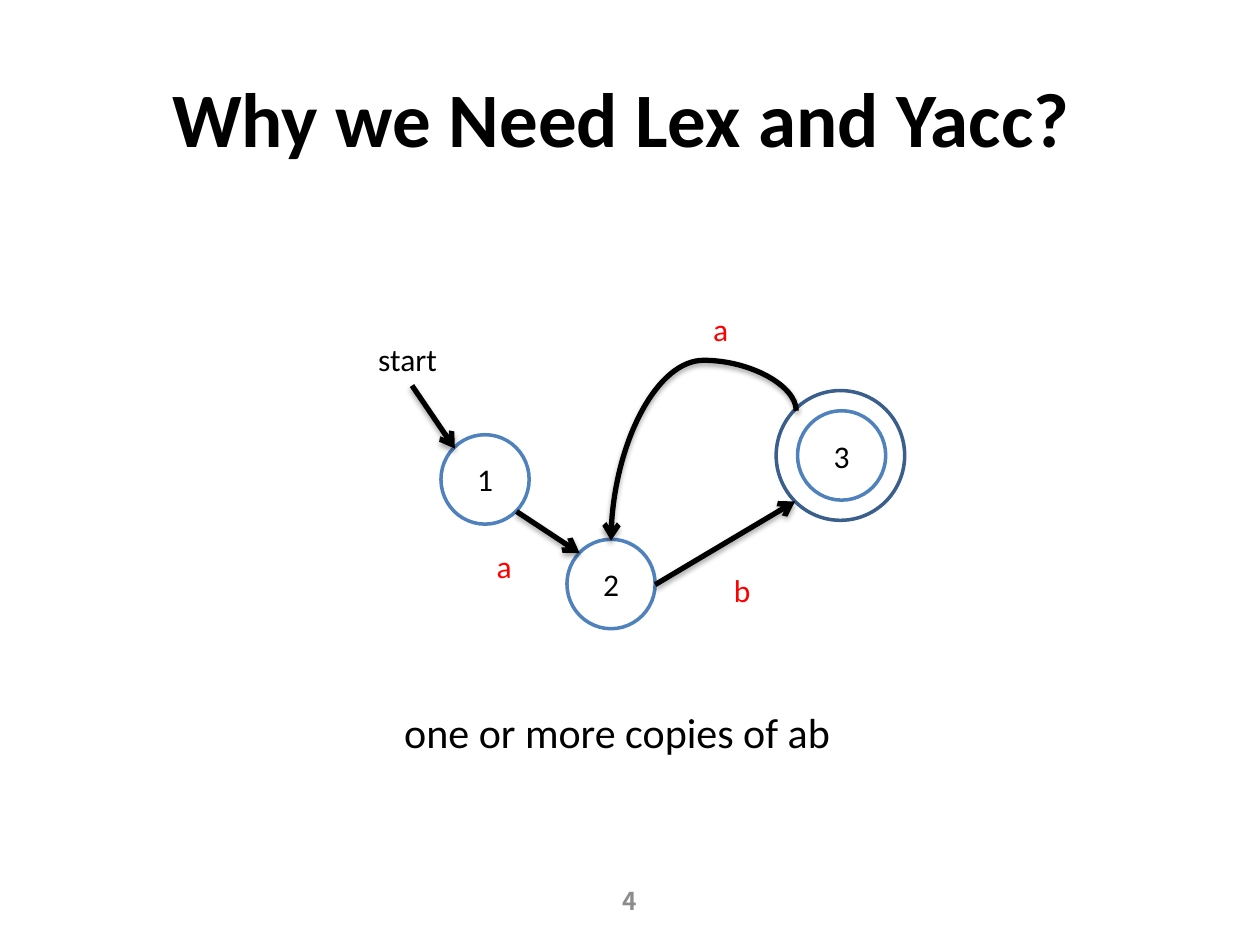
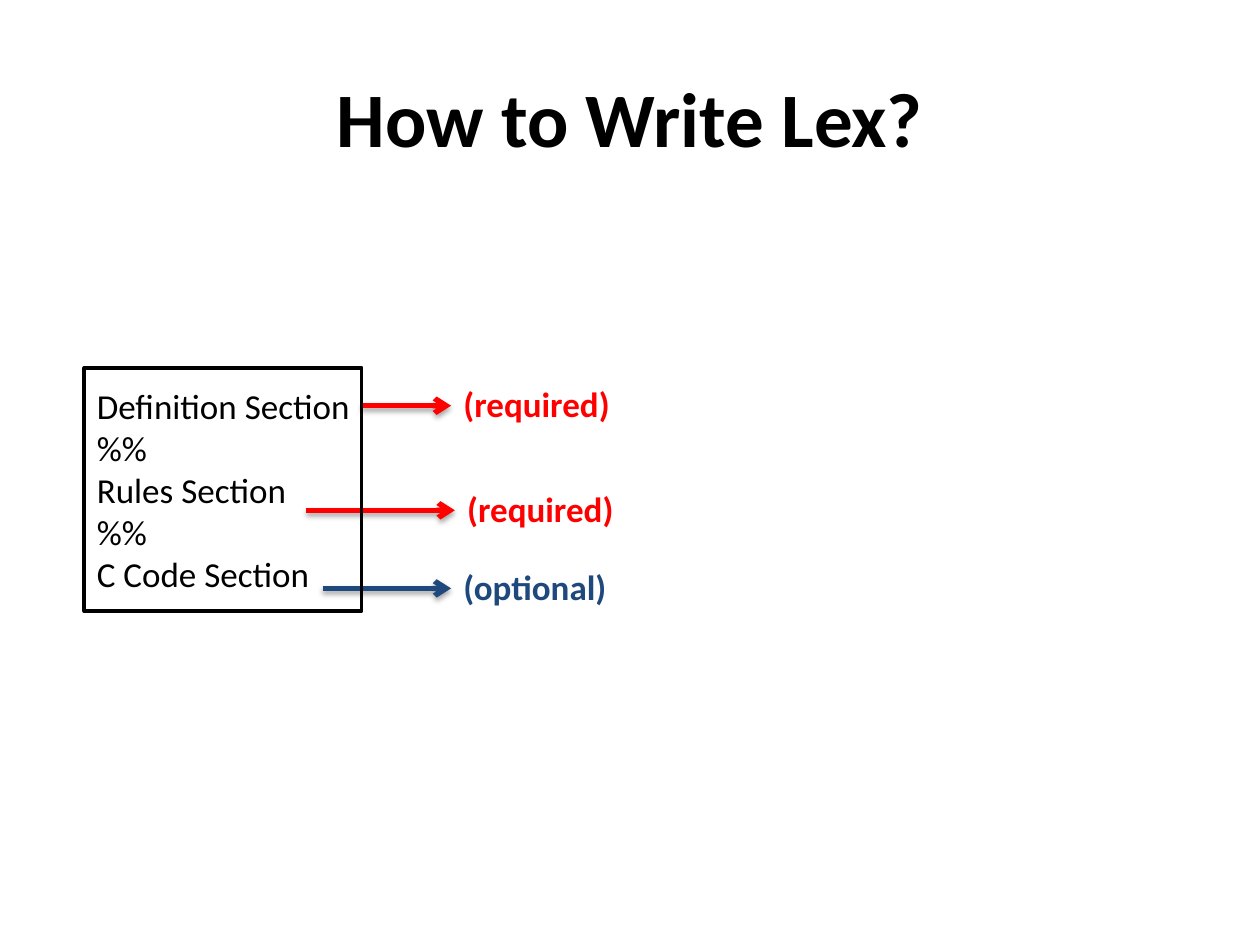
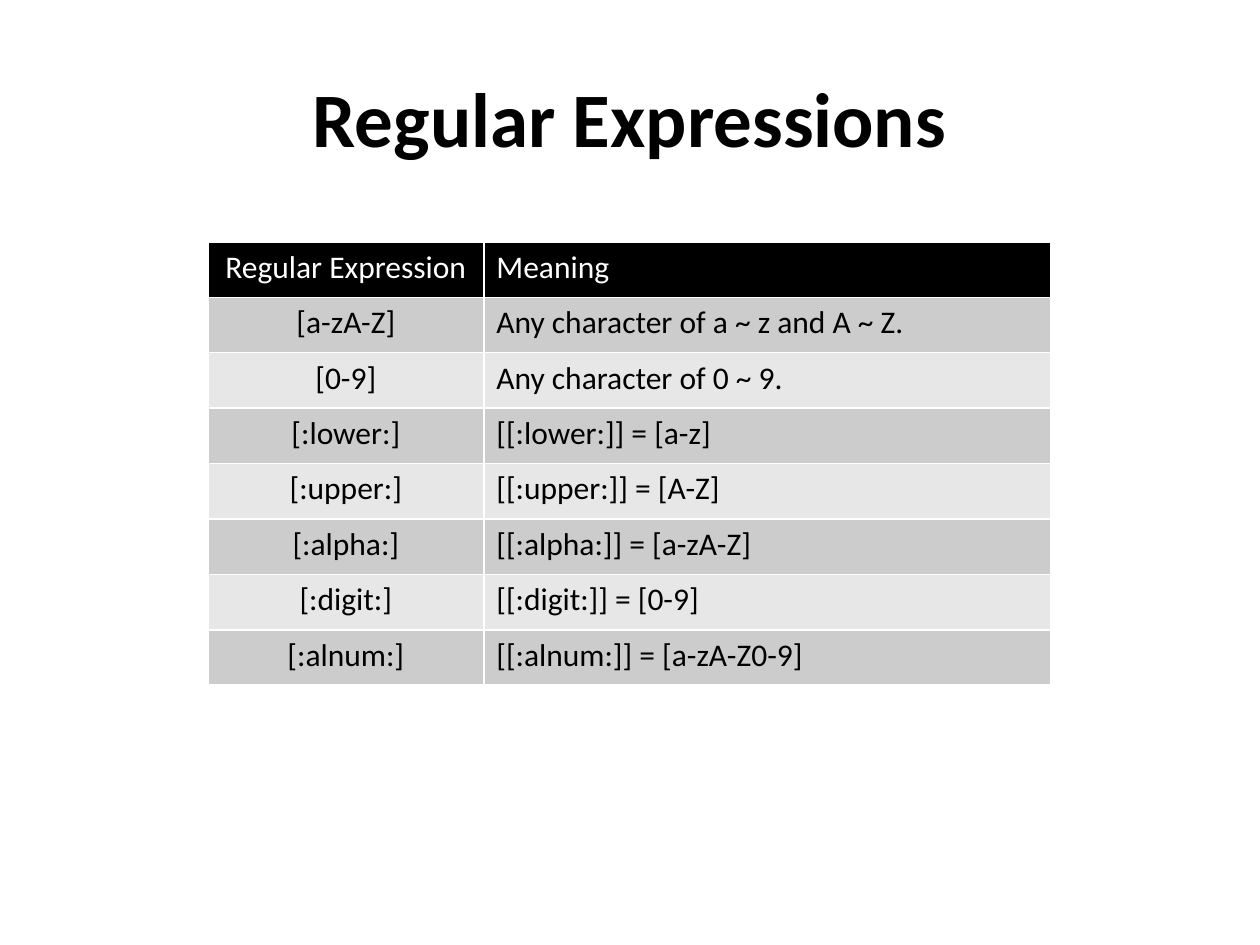
import lxml.etree
import pptx
import pptx.dml.color
import pptx.enum.shapes
import pptx.enum.text
import pptx.oxml
import pptx.oxml.ns
import pptx.util

RGBColor = pptx.dml.color.RGBColor
Pt = pptx.util.Pt
Align = pptx.enum.text.PP_ALIGN
Anchor = pptx.enum.text.MSO_ANCHOR
Shape = pptx.enum.shapes.MSO_SHAPE
Connector = pptx.enum.shapes.MSO_CONNECTOR
qn = pptx.oxml.ns.qn

PX = 9144
BLACK = RGBColor(0x00, 0x00, 0x00)
WHITE = RGBColor(0xFF, 0xFF, 0xFF)
RED = RGBColor(0xFF, 0x00, 0x00)
NAVY = RGBColor(0x1F, 0x49, 0x7D)
BLUE = RGBColor(0x4F, 0x81, 0xBD)
DARK_BLUE = RGBColor(0x3A, 0x5F, 0x8C)
GREY = RGBColor(0x8C, 0x8C, 0x8C)
BANDS = (RGBColor(0xE7, 0xE7, 0xE7), RGBColor(0xCC, 0xCC, 0xCC))
FONT = "Calibri"
NUMBER_FONT = "Noto Sans CJK SC"

TITLE_AREA = (50, 30, 900, 125)
TITLES = ("Why we Need Lex and Yacc? ", "How to Write Lex?", "Regular Expressions")

STATE_SIZE = (70, 71)
STATES = (("1", 350, 345), ("2", 450, 428), ("3", 633, 326))
ACCEPT_RING = (616, 310, 102, 103)
TRANSITIONS = (
    ((327, 306), (361, 356)),
    ((410, 406), (460, 439)),
    ((520, 464), (631, 398)),
)
LOOP_START, LOOP_END = (610, 451), (507, 304)
LOOP_TURN, LOOP_BEND = 270, -38900
STATE_LABELS = (
    ("start", (287, 265, 73, 40), BLACK),
    ("a", (379, 429, 42, 40), RED),
    ("a", (551, 241, 42, 40), RED),
    ("b", (568, 448, 42, 40), RED),
)
CAPTION = ("one or more copies of ab", (311, 556, 425, 50))
PAGE_NUMBER = ("4", (383, 695, 233, 40))

SECTIONS = ("Definition Section", "%%", "Rules Section", "%%", "C Code Section")
SECTIONS_AREA = (67, 292, 220, 193)
NOTE_SIZE = (150, 46)
NOTES = (
    ("(required)", 358, 299, 287, RED),
    ("(required)", 361, 382, 243, RED),
    ("(optional)", 358, 444, 256, NAVY),
)

TABLE_CORNER = (165, 192)
COLUMN_WIDTHS = (219, 450)
ROW_HEIGHT = 44
EXPRESSIONS = (
    ("Regular Expression", "Meaning"),
    ("[a-zA-Z]", "Any character of a ~ z and A ~ Z."),
    ("[0-9]", "Any character of 0 ~ 9."),
    ("[:lower:]", "[[:lower:]] = [a-z]"),
    ("[:upper:]", "[[:upper:]] = [A-Z]"),
    ("[:alpha:]", "[[:alpha:]] = [a-zA-Z]"),
    ("[:digit:]", "[[:digit:]] = [0-9]"),
    ("[:alnum:]", "[[:alnum:]] = [a-zA-Z0-9]"),
)


def scaled(lengths):
    return [length * PX for length in lengths]


def add_element(parent, tag, **attributes):
    return lxml.etree.SubElement(parent, qn(tag), attributes)


def write(frame, text, size, color=BLACK, bold=False, align=Align.LEFT, font=FONT):
    frame.text = text
    for para in frame.paragraphs:
        para.alignment = align
        para.font.name = font
        para.font.size = Pt(size)
        para.font.bold = bold
        para.font.color.rgb = color


def add_text(page, area, text, size, anchor=Anchor.TOP, **style):
    box = page.shapes.add_textbox(*scaled(area))
    box.text_frame.word_wrap = True
    box.text_frame.vertical_anchor = anchor
    write(box.text_frame, text, size, **style)
    return box


def add_outline(page, kind, area, line_color, width, fill=None):
    shape = page.shapes.add_shape(kind, *scaled(area))
    shape.shadow.inherit = False
    if fill is None:
        shape.fill.background()
    else:
        shape.fill.solid()
        shape.fill.fore_color.rgb = fill
    shape.line.color.rgb = line_color
    shape.line.width = Pt(width)
    shape.text_frame.vertical_anchor = Anchor.MIDDLE
    return shape


def add_arrow(page, start, end, color=BLACK, kind=Connector.STRAIGHT):
    arrow = page.shapes.add_connector(kind, *scaled(start + end))
    arrow.line.color.rgb = color
    arrow.line.width = Pt(3)
    add_element(arrow.get_or_add_ln(), "a:tailEnd", type="arrow")
    effects = add_element(arrow.element.spPr, "a:effectLst")
    shadow = add_element(
        effects, "a:outerShdw", blurRad=str(Pt(3.1)), dist=str(Pt(1.8)),
        dir="5400000", rotWithShape="0")
    shade = add_element(shadow, "a:srgbClr", val=str(BLACK))
    add_element(shade, "a:alpha", val="35000")
    return arrow


def add_page(deck, title):
    page = deck.slides.add_slide(deck.slide_layouts[5])
    box = page.shapes.title
    box.left, box.top, box.width, box.height = scaled(TITLE_AREA)
    box.text_frame.vertical_anchor = Anchor.MIDDLE
    write(box.text_frame, title, 44, bold=True, align=Align.CENTER)
    return page


def draw_automaton(page):
    for name, left, top in STATES:
        state = add_outline(page, Shape.OVAL, (left, top) + STATE_SIZE, BLUE, 2, WHITE)
        write(state.text_frame, name, 18, align=Align.CENTER)
    add_outline(page, Shape.OVAL, ACCEPT_RING, DARK_BLUE, 2)
    for start, end in TRANSITIONS:
        add_arrow(page, start, end)
    loop = add_arrow(page, LOOP_START, LOOP_END, kind=Connector.CURVE)
    properties = loop.element.spPr
    properties.find(qn("a:xfrm")).set("rot", str(LOOP_TURN * 60000))
    guides = properties.find(qn("a:prstGeom")).find(qn("a:avLst"))
    add_element(guides, "a:gd", name="adj1", fmla=f"val {LOOP_BEND}")
    for text, area, color in STATE_LABELS:
        add_text(page, area, text, 18, color=color, align=Align.CENTER)
    text, area = CAPTION
    add_text(page, area, text, 24)
    text, area = PAGE_NUMBER
    add_text(page, area, text, 14, anchor=Anchor.MIDDLE, color=GREY, bold=True,
             align=Align.CENTER, font=NUMBER_FONT)


def draw_sections(page):
    for text, left, top, arrow_start, color in NOTES:
        note = add_text(page, (left, top) + NOTE_SIZE, text, 20, color=color, bold=True)
        middle = top + NOTE_SIZE[1] // 2
        arrow = add_arrow(page, (arrow_start, middle), (left, middle), color)
        arrow.end_connect(note, 1)
    frame = add_outline(page, Shape.RECTANGLE, SECTIONS_AREA, BLACK, 2.25).text_frame
    frame.word_wrap = False
    write(frame, "\n".join(SECTIONS), 20)


def add_borders(cell):
    properties = cell._tc.get_or_add_tcPr()
    for side in ("a:lnL", "a:lnR", "a:lnT", "a:lnB"):
        border = add_element(properties, side, w=str(Pt(1)))
        add_element(add_element(border, "a:solidFill"), "a:srgbClr", val=str(WHITE))


def draw_expressions(page):
    area = TABLE_CORNER + (sum(COLUMN_WIDTHS), ROW_HEIGHT * len(EXPRESSIONS))
    table = page.shapes.add_table(
        len(EXPRESSIONS), len(COLUMN_WIDTHS), *scaled(area)).table
    for column, width in zip(table.columns, COLUMN_WIDTHS):
        column.width = width * PX
    for row, texts in enumerate(EXPRESSIONS):
        for column, text in enumerate(texts):
            cell = table.cell(row, column)
            add_borders(cell)
            cell.fill.solid()
            cell.fill.fore_color.rgb = BANDS[row % 2] if row else BLACK
            write(cell.text_frame, text, 18, color=BLACK if row else WHITE,
                  align=Align.LEFT if column else Align.CENTER)


def main():
    deck = pptx.Presentation()
    deck.slide_width, deck.slide_height = scaled((1000, 750))
    for title, draw in zip(TITLES, (draw_automaton, draw_sections, draw_expressions)):
        draw(add_page(deck, title))
    deck.save("out.pptx")


if __name__ == "__main__":
    main()
